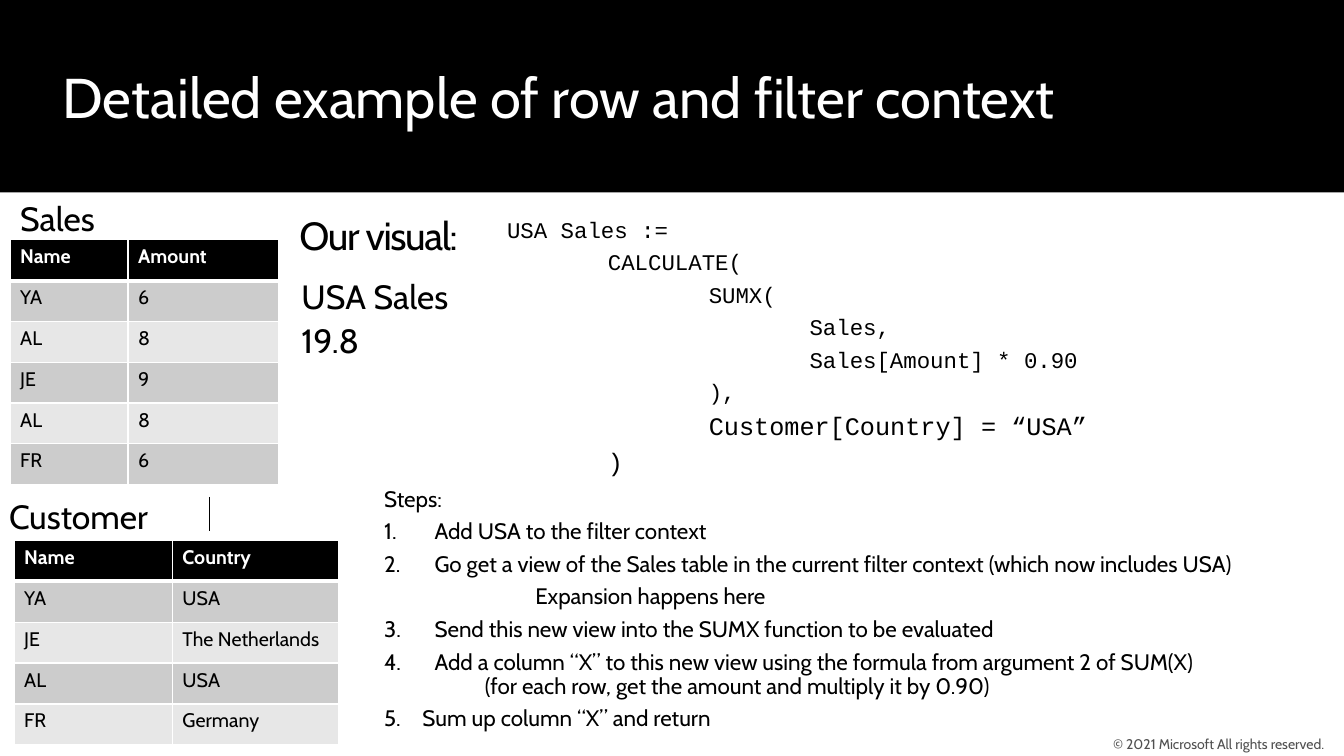
"""Builds the slide on row and filter context, with two tables, a formula and steps."""
from dataclasses import dataclass

from lxml import etree
from pptx import Presentation
from pptx import util as u
from pptx.dml.color import RGBColor
from pptx.enum import shapes, text
from pptx.oxml.ns import qn

BLACK, WHITE, GREY = "000000", "FFFFFF", "505050"
BANDS = ("CCCCCC", "E7E7E7")
SANS, MONO = "Cabin", "Courier New"
WIDE_INSETS = (0.2, 0.16, 0.2, 0.16)


@dataclass
class Line:
    content: str
    size: float
    font: str = SANS
    color: str = BLACK
    bold: bool = False
    after: float = 6
    spacing: float = 0.9


@dataclass
class TextBlock:
    box: tuple[float, float, float, float]
    lines: list[Line]
    insets: tuple[float, float, float, float] = WIDE_INSETS
    wrap: bool = False


@dataclass
class DataTable:
    box: tuple[float, float, float, float]
    widths: tuple[float, float]
    rows: list[tuple[str, str]]


@dataclass
class Step:
    content: str
    left: float = 0.5
    hanging: float = 0.5
    numbered: bool = True
    after: float = 6


TABLES = [
    DataTable((0.1, 2.38, 2.66, 2.43), (1.17, 1.49),
              [("Name", "Amount"), ("YA", "6"), ("AL", "8"), ("JE", "9"),
               ("AL", "8"), ("FR", "6")]),
    DataTable((0.14, 5.36, 3.22, 2.03), (1.57, 1.65),
              [("Name", "Country"), ("YA", "USA"), ("JE", "The Netherlands"),
               ("AL", "USA"), ("FR", "Germany")]),
]

FORMULA = [
    ("USA Sales :=", 16),
    ("\tCALCULATE(", 16),
    ("\t\tSUMX(", 16),
    ("\t\t\tSales,", 16),
    ("\t\t\tSales[Amount] * 0.90", 16),
    ("\t\t),", 16),
    ("\t\tCustomer[Country] = “USA”", 18),
    ("\t)", 18),
]

BLOCKS = [
    TextBlock((0, 1.85, 1, 1), [Line("Sales", 24)]),
    TextBlock((-0.11, 4.81, 1, 1), [Line("Customer", 24)]),
    TextBlock((2.79, 2.62, 1, 1), [Line("USA Sales", 24), Line("19.8", 24)]),
    TextBlock((4.83, 2.01, 7.14, 2.12),
              [Line(code, size, MONO) for code, size in FORMULA]),
]
VISUAL = TextBlock((2.81, 2.05, 2.69, 0.57), [Line("Our visual:", 28, after=0)],
                   (0.16, 0.1, 0.16, 0.1), True)
COPYRIGHT = TextBlock((10.58, 7.26, 3.11, 0.24),
                      [Line("© 2021 Microsoft All rights reserved.", 10,
                            color=GREY, after=0, spacing=1)],
                      (0, 0, 0.1, 0), True)

STEPS = [
    Step("Steps:", 0, 0, False),
    Step("Add USA to the filter context"),
    Step("Go get a view of the Sales table in the current filter context "
         "(which now includes USA)"),
    Step("Expansion happens here", 1.5, 0, False),
    Step("Send this new view into the SUMX function to be evaluated"),
    Step("Add a column “X” to this new view using the formula from argument 2 of SUM(X)",
         after=0),
    Step("(for each row, get the amount and multiply it by 0.90)", 1, 0, False),
    Step("Sum up column “X” and return", 0.38, 0.38),
]


def rgb(color: str) -> RGBColor:
    """Turn a hex string into a colour."""
    return RGBColor.from_string(color)


def place(shape, box: tuple) -> None:
    """Move and size a shape in inches."""
    shape.left, shape.top, shape.width, shape.height = map(u.Inches, box)


def format_frame(frame, insets: tuple, wrap: bool) -> None:
    """Set insets, wrapping and a top anchor."""
    (frame.margin_left, frame.margin_top,
     frame.margin_right, frame.margin_bottom) = map(u.Inches, insets)
    frame.auto_size = text.MSO_AUTO_SIZE.NONE
    frame.word_wrap = wrap
    frame.vertical_anchor = text.MSO_ANCHOR.TOP


def next_paragraph(frame, index: int):
    """Return the first paragraph of a frame or add another."""
    return frame.add_paragraph() if index else frame.paragraphs[0]


def write_line(paragraph, line: Line) -> None:
    """Write one formatted line into a paragraph."""
    paragraph.text = line.content
    if "\t" in line.content:
        stops = etree.SubElement(paragraph._p.get_or_add_pPr(), qn("a:tabLst"))
        for stop in range(1, 4):
            etree.SubElement(stops, qn("a:tab"), pos=str(u.Inches(stop)), algn="l")
    paragraph.line_spacing = line.spacing
    paragraph.space_before = u.Pt(0)
    paragraph.space_after = u.Pt(line.after)
    font = paragraph.font
    font.name, font.size, font.bold = line.font, u.Pt(line.size), line.bold
    font.color.rgb = rgb(line.color)


def add_block(slide, block: TextBlock):
    """Add a text box and return its frame."""
    frame = slide.shapes.add_textbox(*map(u.Inches, block.box)).text_frame
    format_frame(frame, block.insets, block.wrap)
    for index, line in enumerate(block.lines):
        write_line(next_paragraph(frame, index), line)
    return frame


def add_border(cell, side: str, width: float) -> None:
    """Draw one white cell border."""
    border = etree.SubElement(cell._tc.get_or_add_tcPr(), qn(f"a:ln{side}"),
                              w=str(u.Pt(width)))
    fill = etree.SubElement(border, qn("a:solidFill"))
    etree.SubElement(fill, qn("a:srgbClr"), val=WHITE)


def add_data_table(slide, data: DataTable) -> None:
    """Add a table with a black header and banded rows."""
    table = slide.shapes.add_table(len(data.rows), len(data.widths),
                                   *map(u.Inches, data.box)).table
    for column, width in zip(table.columns, data.widths):
        column.width = u.Inches(width)
    for row, values in enumerate(data.rows):
        header = row == 0
        for column, value in enumerate(values):
            cell = table.cell(row, column)
            write_line(cell.text_frame.paragraphs[0],
                       Line(value, 14, color=WHITE if header else BLACK,
                            bold=header, after=0, spacing=1))
            for side, width in zip("LRTB", (1, 1, 3 if row == 1 else 1, 3 if header else 1)):
                add_border(cell, side, width)
            cell.fill.solid()
            cell.fill.fore_color.rgb = rgb(BLACK if header else BANDS[(row - 1) % 2])


def add_title(slide) -> None:
    """Fill the title and lay the black band behind it."""
    title = slide.shapes.title
    place(title, (0.52, 0.57, 11.22, 0.77))
    format_frame(title.text_frame, (0.1, 0.05, 0.1, 0.05), True)
    paragraph = title.text_frame.paragraphs[0]
    write_line(paragraph, Line("Detailed example of row and filter context", 40,
                               color=WHITE, after=0, spacing=1))
    paragraph.alignment = text.PP_ALIGN.LEFT
    band = slide.shapes.add_shape(shapes.MSO_SHAPE.RECTANGLE, 0, 0,
                                  u.Inches(13.33), u.Inches(1.91))
    band.shadow.inherit = False
    band.fill.solid()
    band.fill.fore_color.rgb = rgb(BLACK)
    band.line.fill.background()
    title.element.addprevious(band.element)


def add_steps(slide) -> None:
    """Fill the body placeholder with the numbered steps."""
    body = slide.placeholders[1]
    place(body, (3.61, 4.68, 9.94, 2.03))
    format_frame(body.text_frame, WIDE_INSETS, False)
    for index, step in enumerate(STEPS):
        paragraph = next_paragraph(body.text_frame, index)
        paragraph.level = int(step.left >= 1)
        properties = paragraph._p.get_or_add_pPr()
        properties.set("marL", str(u.Inches(step.left)))
        properties.set("indent", str(-u.Inches(step.hanging)))
        if step.numbered:
            etree.SubElement(properties, qn("a:buFont"), typeface="+mj-lt")
            etree.SubElement(properties, qn("a:buAutoNum"), type="arabicPeriod")
        else:
            etree.SubElement(properties, qn("a:buNone"))
        write_line(paragraph, Line(step.content, 16, after=step.after))


def main() -> None:
    """Build and save the slide."""
    presentation = Presentation()
    presentation.slide_width, presentation.slide_height = u.Inches(13.33), u.Inches(7.5)
    slide = presentation.slides.add_slide(presentation.slide_layouts[1])
    add_title(slide)
    copyright_frame = add_block(slide, COPYRIGHT)
    copyright_frame.vertical_anchor = text.MSO_ANCHOR.MIDDLE
    copyright_frame.paragraphs[0].alignment = text.PP_ALIGN.CENTER
    for data in TABLES:
        add_data_table(slide, data)
    for block in BLOCKS:
        add_block(slide, block)
    visual = add_block(slide, VISUAL).paragraphs[0]
    visual.runs[0]._r.get_or_add_rPr().set("spc", "-100")
    link = slide.shapes.add_connector(shapes.MSO_CONNECTOR.STRAIGHT,
                                      *map(u.Inches, (2.08, 4.93, 2.08, 5.27)))
    link.line.color.rgb = rgb(BLACK)
    link.line.width = u.Pt(0.75)
    etree.SubElement(link.element.spPr, qn("a:effectLst"))
    add_steps(slide)
    presentation.save("out.pptx")


if __name__ == "__main__":
    main()
